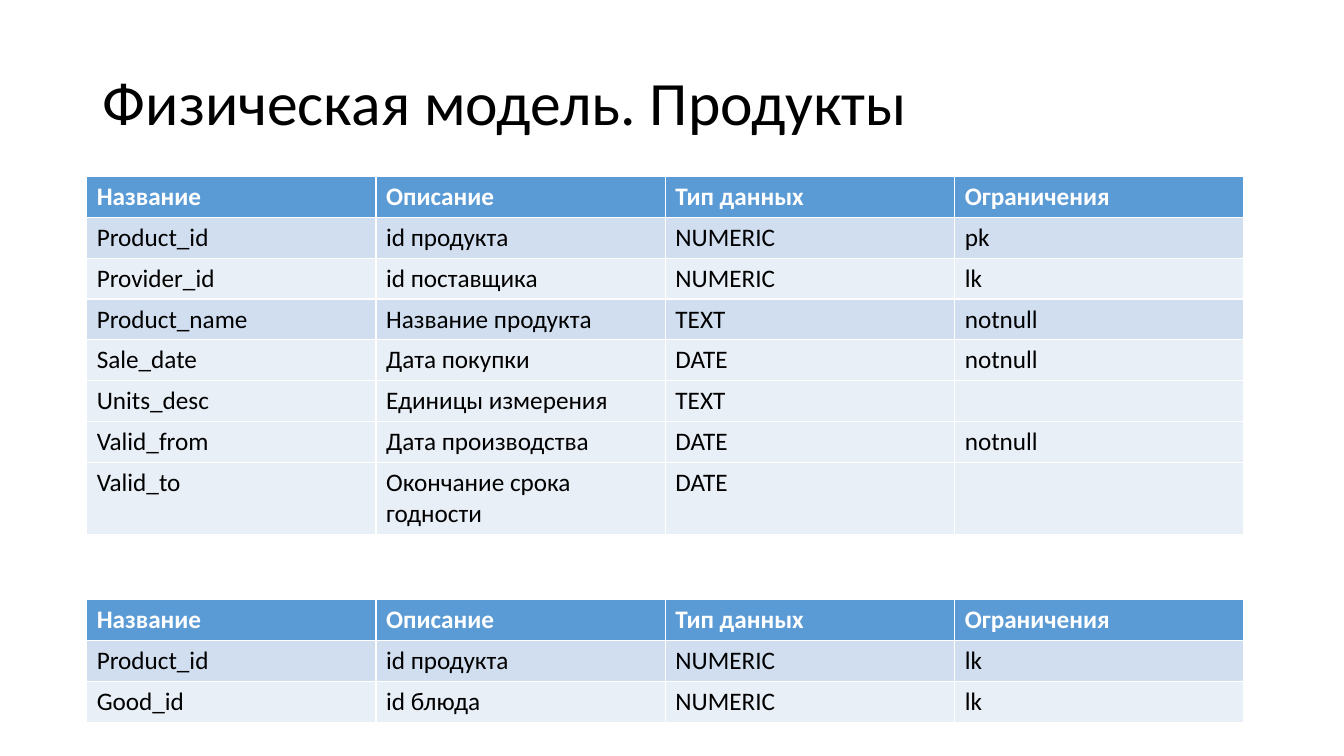
from lxml import etree
from pptx import Presentation, util as u
from pptx.dml.color import RGBColor
from pptx.enum import text
from pptx.oxml import ns

# Content
TITLE = "Физическая модель. Продукты"
HEADER = ("Название", "Описание", "Тип данных", "Ограничения")
PRODUCTS = [
    ("Product_id", "id продукта", "NUMERIC", "pk"),
    ("Provider_id", "id поставщика", "NUMERIC", "lk"),
    ("Product_name", "Название продукта", "TEXT", "notnull"),
    ("Sale_date", "Дата покупки", "DATE", "notnull"),
    ("Units_desc", "Единицы измерения", "TEXT", ""),
    ("Valid_from", "Дата производства", "DATE", "notnull"),
    ("Valid_to", "Окончание срока годности", "DATE", ""),
]
PRODUCT_GOODS = [
    ("Product_id", "id продукта", "NUMERIC", "lk"),
    ("Good_id", "id блюда", "NUMERIC", "lk"),
]
# Table top in inches, rows
TABLES = [(1.75, PRODUCTS), (5.95, PRODUCT_GOODS)]

# Look and measures
THEME = {
    "font": "Calibri", "title_size": 44, "cell_size": 18, "border_width": 0.96,
    "text": "000000", "header_text": "FFFFFF", "border": "FFFFFF",
    "header": "5B9BD5", "dark_band": "D1DEEF", "light_band": "E9EFF7",
}
TABLE_LEFT, COLUMN_WIDTH = 0.86, 2.87
ROW_HEIGHT, TALL_ROW_HEIGHT = 0.4, 0.71
LINE_CAPACITY = 20  # characters that fit on one line of a cell


def format_font(font, size, color, bold=False):
    values = {"name": THEME["font"], "size": u.Pt(size), "bold": bold}
    for name, value in values.items():
        setattr(font, name, value)
    font.color.rgb = RGBColor.from_string(color)


def add_borders(cell):
    properties = cell._tc.get_or_add_tcPr()
    for position, side in enumerate(("lnL", "lnR", "lnT", "lnB")):
        line = etree.Element(ns.qn(f"a:{side}"), w=str(u.Pt(THEME["border_width"])))
        fill = etree.SubElement(line, ns.qn("a:solidFill"))
        etree.SubElement(fill, ns.qn("a:srgbClr"), val=THEME["border"])
        properties.insert(position, line)


def row_fill(row_index):
    if row_index == 0:
        return THEME["header"]
    return THEME["dark_band"] if row_index in (1, 3) else THEME["light_band"]


def add_field_table(slide, top, fields):
    rows = [HEADER, *fields]
    heights = [TALL_ROW_HEIGHT if max(map(len, row)) > LINE_CAPACITY else ROW_HEIGHT
               for row in rows]
    table = slide.shapes.add_table(
        len(rows), len(HEADER), u.Inches(TABLE_LEFT), u.Inches(top),
        u.Inches(COLUMN_WIDTH * len(HEADER)), u.Inches(sum(heights))).table
    for column in table.columns:
        column.width = u.Inches(COLUMN_WIDTH)
    for row_index, (values, height) in enumerate(zip(rows, heights)):
        table.rows[row_index].height = u.Inches(height)
        is_header = row_index == 0
        color = THEME["header_text" if is_header else "text"]
        for column_index, value in enumerate(values):
            cell = table.cell(row_index, column_index)
            cell.fill.solid()
            cell.fill.fore_color.rgb = RGBColor.from_string(row_fill(row_index))
            add_borders(cell)
            if value:
                cell.text = value
                run = cell.text_frame.paragraphs[0].runs[0]
                format_font(run.font, THEME["cell_size"], color, is_header)


def main():
    presentation = Presentation()
    presentation.slide_width = u.Inches(13.33)
    presentation.slide_height = u.Inches(7.5)
    slide = presentation.slides.add_slide(presentation.slide_layouts[5])

    # Title
    title = slide.shapes.title
    box = {"left": 0.92, "top": 0.32, "width": 11.5, "height": 1.45}
    for name, value in box.items():
        setattr(title, name, u.Inches(value))
    title.text_frame.text = TITLE
    title.text_frame.vertical_anchor = text.MSO_ANCHOR.MIDDLE
    paragraph = title.text_frame.paragraphs[0]
    paragraph.alignment = text.PP_ALIGN.LEFT
    paragraph.line_spacing = 0.9
    format_font(paragraph.runs[0].font, THEME["title_size"], THEME["text"])

    # Tables
    for top, fields in TABLES:
        add_field_table(slide, top, fields)

    presentation.save("out.pptx")


if __name__ == "__main__":
    main()
